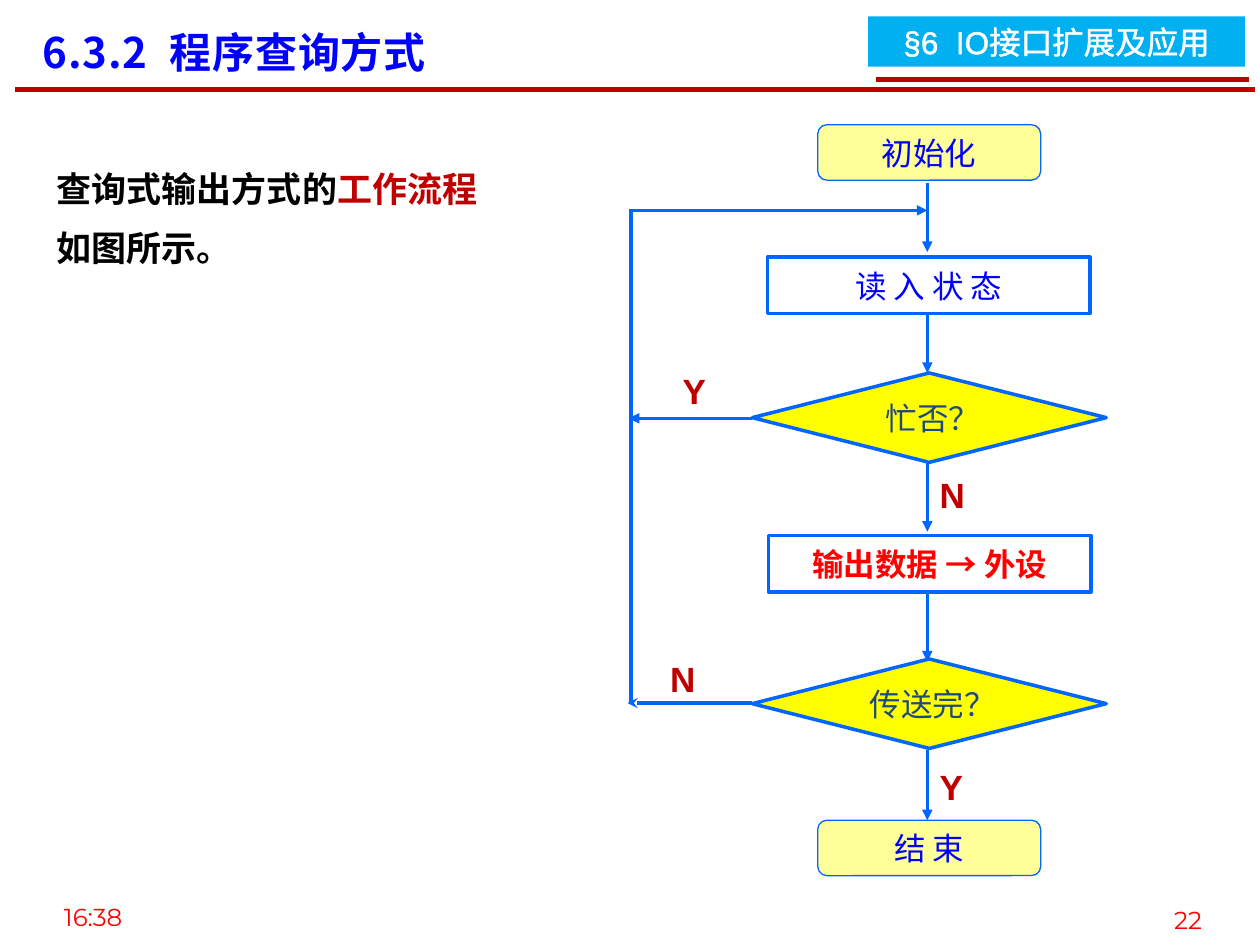
"""Build the slide on the flow of polled output."""
import pptx
import pptx.util
import pptx.dml.color
import pptx.enum.shapes
import pptx.enum.text
import pptx.oxml.ns
import lxml.etree

Inches = pptx.util.Inches
Pt = pptx.util.Pt
RGB = pptx.dml.color.RGBColor.from_string
Kind = pptx.enum.shapes.MSO_SHAPE
Align = pptx.enum.text.PP_ALIGN
Anchor = pptx.enum.text.MSO_ANCHOR
qn = pptx.oxml.ns.qn
Sub = lxml.etree.SubElement

HUES = {
    "navy": "0000FF", "flow": "0066FF", "sky": "00B0F0", "dark": "C00000",
    "red": "FF0000", "cream": "FFFF99", "gold": "FFFF00", "slate": "1F497D",
    "white": "FFFFFF", "black": "000000",
}


def write(shape, parts, size, face="Arial", bold=False, align=Align.CENTER, wrap=True):
    frame = shape.text_frame
    frame.word_wrap = wrap
    para = frame.paragraphs[0]
    para.alignment = align
    for text, hue in parts:
        run = para.add_run()
        run.text = text
        font = run.font
        font.size = Pt(size)
        font.bold = bold
        font.name = face
        font.color.rgb = RGB(HUES[hue])
        Sub(font._element, qn("a:ea")).set("typeface", "Noto Sans CJK SC")
    return para


def draw(start, end, hue, width, head=None):
    ends = [Inches(n) for n in (*start, *end)]
    line = slide.shapes.add_connector(pptx.enum.shapes.MSO_CONNECTOR.STRAIGHT, *ends)
    line.line.color.rgb = RGB(HUES[hue])
    line.line.width = Pt(width)
    if head:
        Sub(line.line._get_or_add_ln(), qn("a:tailEnd")).set("type", head)
    Sub(line._element.spPr, qn("a:effectLst"))


deck = pptx.Presentation()
deck.slide_width = Inches(10)
deck.slide_height = Inches(7.5)
slide = deck.slides.add_slide(deck.slide_layouts[6])

draw((0.12, 0.71), (9.96, 0.71), "dark", 3)
draw((6.95, 0.63), (9.91, 0.63), "dark", 3)

MID, LOOP, SIDE = 7.36, 5.01, 5.97
for top, foot in [(1.45, 2), (2.41, 2.96), (3.67, 4.22), (4.7, 5.25), (5.95, 6.51)]:
    draw((MID, top), (MID, foot), "flow", 2, "triangle")
draw((SIDE, 5.58), (4.98, 5.58), "flow", 2, "stealth")
draw((SIDE, 3.32), (4.99, 3.32), "flow", 2, "triangle")
draw((LOOP, 5.59), (LOOP, 1.66), "flow", 2)
draw((LOOP, 1.67), (MID, 1.67), "flow", 2, "triangle")

steps = [
    ("§6  IO接口扩展及应用", Kind.RECTANGLE, (6.89, 0.13, 2.99, 0.4), "sky", 0, "white"),
    ("初始化", Kind.ROUNDED_RECTANGLE, (6.49, 0.99, 1.77, 0.44), "cream", 0.75, "navy"),
    ("读 入 状 态", Kind.RECTANGLE, (6.09, 2.04, 2.56, 0.45), "white", 2, "navy"),
    (" 忙否？", Kind.DIAMOND, (SIDE, 2.96, 2.81, 0.71), "gold", 2, "slate"),
    ("输出数据 → 外设", Kind.RECTANGLE, (6.1, 4.25, 2.56, 0.45), "white", 2, "red"),
    (" 传送完？", Kind.DIAMOND, (SIDE, 5.23, 2.81, 0.71), "gold", 2, "slate"),
    ("结 束", Kind.ROUNDED_RECTANGLE, (6.49, 6.51, 1.77, 0.44), "cream", 0.75, "navy"),
]
for text, kind, place, fill, width, hue in steps:
    step = slide.shapes.add_shape(kind, *[Inches(n) for n in place])
    step.shadow.inherit = False
    step.fill.solid()
    step.fill.fore_color.rgb = RGB(HUES[fill])
    if width:
        step.line.color.rgb = RGB(HUES["flow"])
        step.line.width = Pt(width)
    else:
        step.line.fill.background()
    step.text_frame.vertical_anchor = Anchor.MIDDLE
    para = write(step, [(text, hue)], 18, bold=hue == "red", wrap=width < 2)
    if not width:
        rim = lxml.etree.Element(qn("a:ln"), w=str(Pt(1.45)))
        tint = Sub(Sub(rim, qn("a:solidFill")), qn("a:srgbClr"))
        tint.set("val", HUES["white"])
        para.runs[0].font._element.insert(0, rim)

for text, left, top in [("Y", 5.32, 2.88), ("N", 7.36, 3.71), ("N", 5.22, 5.17), ("Y", 7.36, 6.03)]:
    mark = slide.shapes.add_textbox(Inches(left), Inches(top), Inches(0.6), Inches(0.43))
    write(mark, [(text, "dark")], 20, bold=True, align=Align.LEFT)

title = slide.shapes.add_textbox(Inches(0.24), Inches(0.16), Inches(3.33), Inches(0.5))
para = write(title, [("6.3.2  程序查询方式", "navy")], 24, "Noto Sans CJK SC", True, Align.LEFT, False)
para.runs[0].font._element.set("spc", "50")

body = slide.shapes.add_textbox(Inches(0.35), Inches(1.15), Inches(3.54), Inches(2.25))
parts = [("查询式输出方式的", "black"), ("工作流程", "dark"), ("如图所示。", "black")]
para = write(body, parts, 20, bold=True, align=Align.JUSTIFY)
para.line_spacing = 1.4

for text, left, top, width in [("16:38", 0.23, 7.11, 1.02), ("22", 9.06, 7.13, 0.74)]:
    note = slide.shapes.add_textbox(Inches(left), Inches(top), Inches(width), Inches(0.35))
    write(note, [(text, "red")], 14, "Montserrat")

deck.save("out.pptx")
